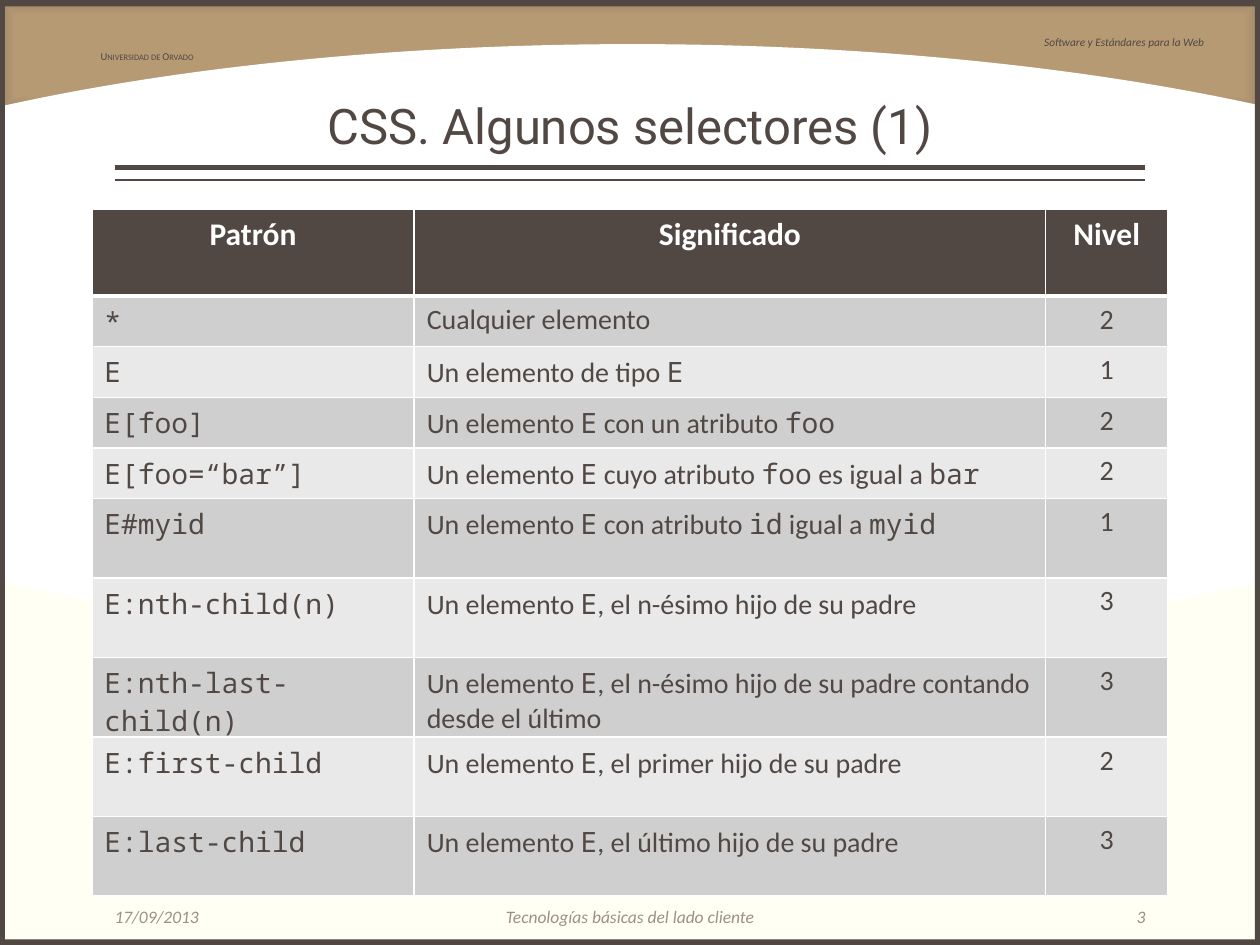
from lxml import etree
from pptx import Presentation
from pptx.dml.color import RGBColor
from pptx.enum.shapes import MSO_CONNECTOR, MSO_SHAPE
from pptx.enum.text import MSO_ANCHOR, PP_ALIGN
from pptx.oxml.ns import qn
from pptx.util import Cm, Pt

RECTANGLE, OVAL = MSO_SHAPE.RECTANGLE, MSO_SHAPE.OVAL
STRAIGHT = MSO_CONNECTOR.STRAIGHT
LEFT, CENTER, RIGHT = PP_ALIGN.LEFT, PP_ALIGN.CENTER, PP_ALIGN.RIGHT
TOP, MIDDLE, BOTTOM = MSO_ANCHOR.TOP, MSO_ANCHOR.MIDDLE, MSO_ANCHOR.BOTTOM

COLORS = {
    "cream": "FFFFF3", "white": "FFFFFF", "brown": "514843", "muted": "9D8F88",
    "tan": "B79B75", "tan_mid": "B59A74", "tan_edge": "A18967",
    "band_dark": "D0CFCF", "band_light": "E9E9E9",
}
BODY, CODE, HEADING = "Calibri", "Noto Sans Mono", "Roboto"

SLIDE_W, SLIDE_H = 25.4, 19.05
FRAME = 0.13
MARGIN = 2.31
CONTENT_W = SLIDE_W - 2 * MARGIN
DATE_W = 3.81
TABLE_LEFT, TABLE_TOP = 1.85, 4.22
COLUMN_WIDTHS = [6.5, 12.73, 2.46]
ROW_HEIGHTS = [1.75] + [1.02] * 4 + [1.6] * 5

HEADINGS = ("Patrón", "Significado", "Nivel")
SELECTORS = [
    ("`*`", "Cualquier elemento", "2"),
    ("`E`", "Un elemento de tipo `E`", "1"),
    ("`E[foo]`", "Un elemento `E` con un atributo `foo`", "2"),
    ("`E[foo=“bar”]`", "Un elemento `E` cuyo atributo `foo` es igual a `bar`", "2"),
    ("`E#myid`", "Un elemento `E` con atributo `id` igual a `myid`", "1"),
    ("`E:nth-child(n)`", "Un elemento `E`, el n-ésimo hijo de su padre", "3"),
    ("`E:nth-last-child(n)`",
     "Un elemento `E`, el n-ésimo hijo de su padre contando desde el último", "3"),
    ("`E:first-child`", "Un elemento `E`, el primer hijo de su padre", "2"),
    ("`E:last-child`", "Un elemento `E`, el último hijo de su padre", "3"),
]


def rgb(color):
    return RGBColor.from_string(COLORS[color])


def add_run(paragraph, text, color, **formats):
    run = paragraph.add_run()
    run.text = text
    run.font.color.rgb = rgb(color)
    for name, value in formats.items():
        setattr(run.font, name, value)
    return run


def add_block(slide, kind, box, color):
    block = slide.shapes.add_shape(kind, *map(Cm, box))
    block.shadow.inherit = False
    block.fill.solid()
    block.fill.fore_color.rgb = rgb(color)
    block.line.fill.background()
    return block


def shade_from_center(block, stops):
    block.fill.gradient()
    gradient = block._element.spPr.find(qn("a:gradFill"))
    for child in list(gradient):
        gradient.remove(child)
    stop_list = etree.SubElement(gradient, qn("a:gsLst"))
    for position, color in stops:
        stop = etree.SubElement(stop_list, qn("a:gs"), pos=str(position * 1000))
        etree.SubElement(stop, qn("a:srgbClr"), val=COLORS[color])
    center = etree.SubElement(gradient, qn("a:path"), path="rect")
    etree.SubElement(center, qn("a:fillToRect"),
                     {side: "50000" for side in "ltrb"})


def add_rule(slide, y, width):
    rule = slide.shapes.add_connector(
        STRAIGHT, Cm(MARGIN), Cm(y), Cm(MARGIN + CONTENT_W), Cm(y))
    rule.line.color.rgb = rgb("brown")
    rule.line.width = Pt(width)
    etree.SubElement(rule._element.spPr, qn("a:effectLst"))


def add_text(slide, box, text, color, align=LEFT, anchor=TOP, inset=0.0, **formats):
    frame = slide.shapes.add_textbox(*map(Cm, box)).text_frame
    settings = {"word_wrap": True, "vertical_anchor": anchor,
                "margin_left": Cm(inset), "margin_right": Cm(inset)}
    for name, value in settings.items():
        setattr(frame, name, value)
    paragraph = frame.paragraphs[0]
    paragraph.alignment = align
    return paragraph, add_run(paragraph, text, color, **formats)


def add_background(slide):
    slide.background.fill.solid()
    slide.background.fill.fore_color.rgb = rgb("cream")
    header = add_block(slide, RECTANGLE, (0, 0, SLIDE_W, 2.24), "tan")
    shade_from_center(header, [(0, "tan"), (71, "tan_mid"), (100, "tan_edge")])
    add_block(slide, OVAL, (-8.13, 0.89, 41.76, 12.09), "white")
    for edge in [
        (-0.03, 0, FRAME, SLIDE_H),
        (SLIDE_W - 0.1, 0, FRAME, SLIDE_H),
        (0, SLIDE_H - 0.11, SLIDE_W, FRAME),
        (0, 0, SLIDE_W, FRAME),
    ]:
        add_block(slide, RECTANGLE, edge, "brown")
    add_rule(slide, 3.38, 3)
    add_rule(slide, 3.63, 1)


def add_labels(slide):
    _, university = add_text(slide, (1.78, 0.89, 2.69, 0.51), "Universidad de Orvado",
                             "brown", inset=0.25, name=BODY, size=Pt(6))
    university.font._element.set("cap", "small")
    add_text(slide, (20.8, 0.58, 4.6, 0.53), "Software y Estándares para la Web",
             "brown", inset=0.25, name=BODY, size=Pt(6.5), italic=True)
    title, _ = add_text(slide, (MARGIN, 0.2, CONTENT_W, 3.05),
                        "CSS. Algunos selectores (1)", "brown", CENTER, BOTTOM,
                        name=HEADING, size=Pt(28))
    title.line_spacing = 0.9


def add_footer(slide):
    left = MARGIN
    for text, width, align in [
        ("17/09/2013", DATE_W, LEFT),
        ("Tecnologías básicas del lado cliente", CONTENT_W - 2 * DATE_W, CENTER),
        ("3", DATE_W, RIGHT),
    ]:
        add_text(slide, (left, 18.11, width, 0.74), text, "muted", align, MIDDLE,
                 name=BODY, size=Pt(10), italic=True)
        left += width


def add_borders(cell, top, bottom):
    properties = cell._tc.get_or_add_tcPr()
    for side, width in [("L", 1), ("R", 1), ("T", top), ("B", bottom)]:
        border = etree.SubElement(properties, qn(f"a:ln{side}"), w=str(Pt(width)))
        fill = etree.SubElement(border, qn("a:solidFill"))
        etree.SubElement(fill, qn("a:srgbClr"), val=COLORS["white"])


def fill_cell(cell, text, fill, color, align, size, bold):
    cell.fill.solid()
    cell.fill.fore_color.rgb = rgb(fill)
    paragraph = cell.text_frame.paragraphs[0]
    paragraph.alignment = align
    for index, part in enumerate(text.split("`")):
        if part:
            add_run(paragraph, part, color, name=CODE if index % 2 else BODY,
                    size=Pt(size), bold=bold)


def add_selector_table(slide):
    rows = [HEADINGS] + SELECTORS
    table = slide.shapes.add_table(
        len(rows), len(HEADINGS), Cm(TABLE_LEFT), Cm(TABLE_TOP),
        Cm(sum(COLUMN_WIDTHS)), Cm(sum(ROW_HEIGHTS))).table
    for column, width in zip(table.columns, COLUMN_WIDTHS):
        column.width = Cm(width)
    for r, texts in enumerate(rows):
        table.rows[r].height = Cm(ROW_HEIGHTS[r])
        for c, text in enumerate(texts):
            cell = table.cell(r, c)
            add_borders(cell, 3 if r == 1 else 1, 3 if r == 0 else 1)
            if r == 0:
                fill_cell(cell, text, "brown", "white", CENTER, 18, True)
            else:
                band = "band_dark" if r % 2 else "band_light"
                fill_cell(cell, text, band, "brown", CENTER if c == 2 else LEFT, 16, False)


def main():
    deck = Presentation()
    deck.slide_width, deck.slide_height = Cm(SLIDE_W), Cm(SLIDE_H)
    slide = deck.slides.add_slide(deck.slide_layouts[6])
    add_background(slide)
    add_labels(slide)
    add_footer(slide)
    add_selector_table(slide)
    deck.save("out.pptx")


if __name__ == "__main__":
    main()
